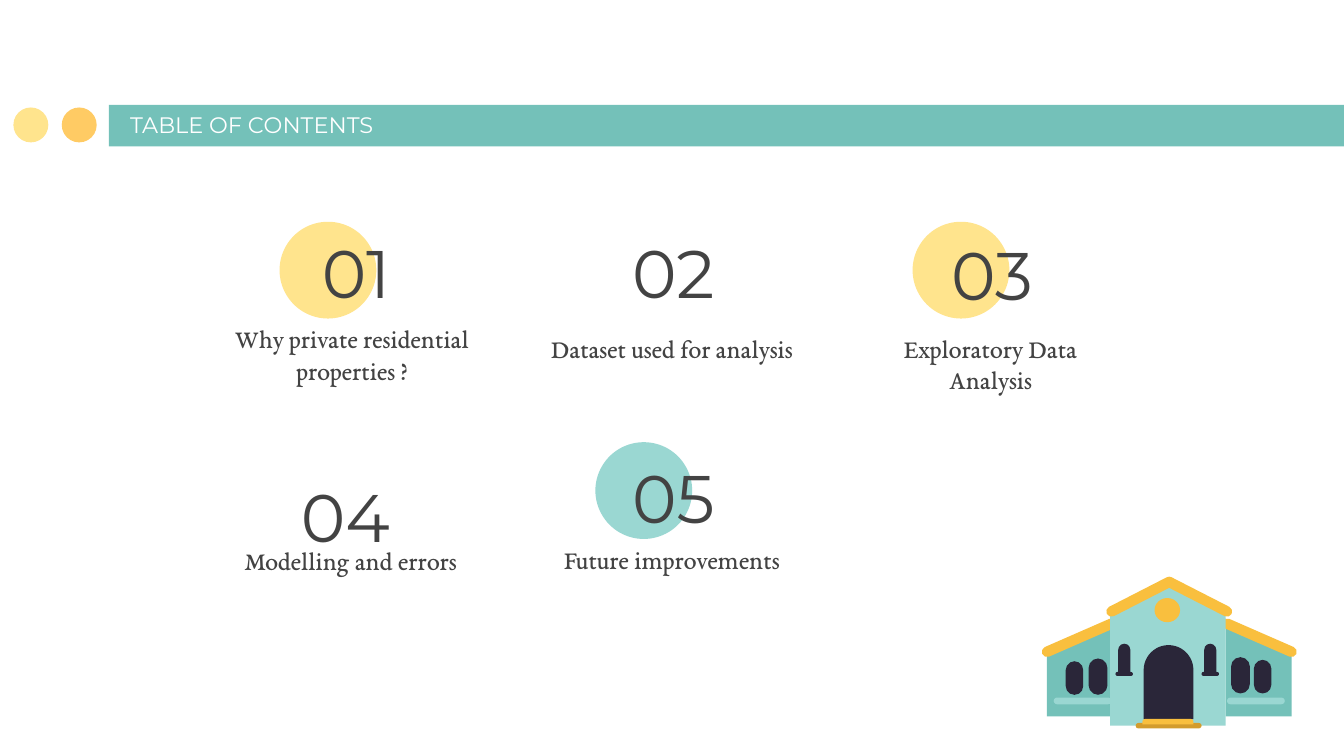
from pptx import Presentation
from pptx.dml.color import RGBColor
from pptx.enum.shapes import MSO_SHAPE
from pptx.enum.text import MSO_ANCHOR, PP_ALIGN
from pptx.oxml.ns import qn
from pptx.util import Inches, Pt
from lxml import etree

RECTANGLE = MSO_SHAPE.RECTANGLE
OVAL = MSO_SHAPE.OVAL
ROUNDED = MSO_SHAPE.ROUNDED_RECTANGLE
ARCHED = MSO_SHAPE.ROUND_2_SAME_RECTANGLE
LEFT, CENTER = PP_ALIGN.LEFT, PP_ALIGN.CENTER
TOP, MIDDLE, BOTTOM = MSO_ANCHOR.TOP, MSO_ANCHOR.MIDDLE, MSO_ANCHOR.BOTTOM

color = RGBColor.from_string
TEAL, LIGHT_TEAL = "74C1B9", "9AD7D2"
YELLOW, ORANGE = "FFE48D", "FFCB64"
GOLD, DARK_GOLD = "F9BF3E", "D39C2D"
NAVY, GRAY, WHITE = "2A2639", "434343", "FFFFFF"

# Widescreen slide, 16:9
presentation = Presentation()
presentation.slide_width = Inches(10)
presentation.slide_height = Inches(10) * 9 // 16
slide = presentation.slides.add_slide(presentation.slide_layouts[6])
shapes = slide.shapes


def add_shape(kind, left, top, width, height, fill):
    shape = shapes.add_shape(kind, Inches(left), Inches(top), Inches(width), Inches(height))
    shape.shadow.inherit = False
    shape.fill.solid()
    shape.fill.fore_color.rgb = color(fill)
    shape.line.fill.background()
    if kind in (ROUNDED, ARCHED):
        shape.adjustments[0] = 0.5


def add_text(text, left, top, width, height, font, size, fill, align, anchor):
    frame = shapes.add_textbox(Inches(left), Inches(top), Inches(width), Inches(height)).text_frame
    frame.word_wrap = True
    frame.vertical_anchor = anchor
    frame.margin_left = frame.margin_right = Inches(0.1)
    frame.margin_top = frame.margin_bottom = Inches(0.1)
    paragraph = frame.paragraphs[0]
    paragraph.alignment = align
    run = paragraph.add_run()
    run.text = text
    run.font.name = font
    run.font.size = Pt(size)
    run.font.color.rgb = color(fill)


# Title bar
add_shape(RECTANGLE, 0.81, 0.78, 9.5, 0.31, TEAL)
add_shape(OVAL, 0.46, 0.8, 0.26, 0.26, ORANGE)
add_shape(OVAL, 0.1, 0.8, 0.26, 0.26, YELLOW)
add_text("TABLE OF CONTENTS", 0.87, 0.79, 5.48, 0.34, "Montserrat", 12, WHITE, LEFT, BOTTOM)

# Circles behind some of the numbers
for left, top, fill in [(2.08, 1.65, YELLOW), (6.79, 1.65, YELLOW), (4.43, 3.29, LIGHT_TEAL)]:
    add_shape(OVAL, left, top, 0.72, 0.72, fill)

# Contents: number position, then caption position
contents = [
    ("Why private residential properties ?", 1.69, 1.71, 1.58, 2.3),
    ("Dataset used for analysis", 4.05, 1.71, 3.96, 2.37),
    ("Exploratory Data Analysis", 6.42, 1.72, 6.33, 2.37),
    ("Modelling and errors", 1.61, 3.52, 1.57, 3.95),
    ("Future improvements", 4.05, 3.38, 3.96, 3.94),
]
for number, (caption, number_left, number_top, left, top) in enumerate(contents, 1):
    add_text(f"{number:02}", number_left, number_top, 1.92, 0.63,
             "Montserrat", 36, GRAY, CENTER, MIDDLE)
    add_text(caption, left, top, 2.08, 0.67, "EB Garamond", 14, GRAY, CENTER, TOP)

# House outlines: wing walls, wing roofs, central wall, central roof
outlines = [
    ([(8.27, 4.64), (7.79, 4.85), (7.79, 5.33), (8.27, 5.33)], TEAL, True),
    ([(9.12, 4.64), (9.61, 4.85), (9.61, 5.33), (9.12, 5.33)], TEAL, True),
    ([(7.79, 4.85), (8.27, 4.64)], GOLD, False),
    ([(9.61, 4.85), (9.13, 4.64)], GOLD, False),
    ([(8.69, 4.32), (9.12, 4.55), (9.12, 5.4), (8.26, 5.4), (8.26, 4.55)], LIGHT_TEAL, True),
    ([(8.27, 4.55), (8.7, 4.33), (9.13, 4.55)], GOLD, False),
]
for points, fill, is_wall in outlines:
    corners = [(Inches(x), Inches(y)) for x, y in points]
    builder = shapes.build_freeform(*corners[0])
    builder.add_line_segments(corners[1:], close=is_wall)
    outline = builder.convert_to_shape()
    outline.shadow.inherit = False
    if is_wall:
        outline.fill.solid()
        outline.fill.fore_color.rgb = color(fill)
        outline.line.fill.background()
    else:
        outline.fill.background()
        outline.line.color.rgb = color(fill)
        outline.line.width = Pt(5.6)
        line = outline.element.spPr.find(qn("a:ln"))
        line.set("cap", "rnd")
        etree.SubElement(line, qn("a:round"))

# Bars at the foot of the wings
for left in (7.84, 9.13):
    add_shape(ROUNDED, left, 5.19, 0.43, 0.05, LIGHT_TEAL)

# Wing windows
for left, top, width, height in [(7.93, 4.92, 0.13, 0.25), (8.1, 4.9, 0.14, 0.27),
                                 (9.16, 4.89, 0.14, 0.27), (9.33, 4.91, 0.13, 0.25)]:
    add_shape(ROUNDED, left, top, width, height, NAVY)

# Door and steps
add_shape(ROUNDED, 8.45, 5.38, 0.49, 0.04, DARK_GOLD)
add_shape(ARCHED, 8.51, 4.8, 0.37, 0.55, NAVY)
add_shape(ARCHED, 8.5, 5.35, 0.38, 0.04, GOLD)

# Narrow windows with sills, and the round window
for left in (8.32, 8.96):
    add_shape(ARCHED, left, 4.79, 0.09, 0.23, NAVY)
    add_shape(ROUNDED, left - 0.02, 5, 0.13, 0.03, NAVY)
add_shape(OVAL, 8.59, 4.45, 0.19, 0.18, GOLD)

presentation.save("out.pptx")
